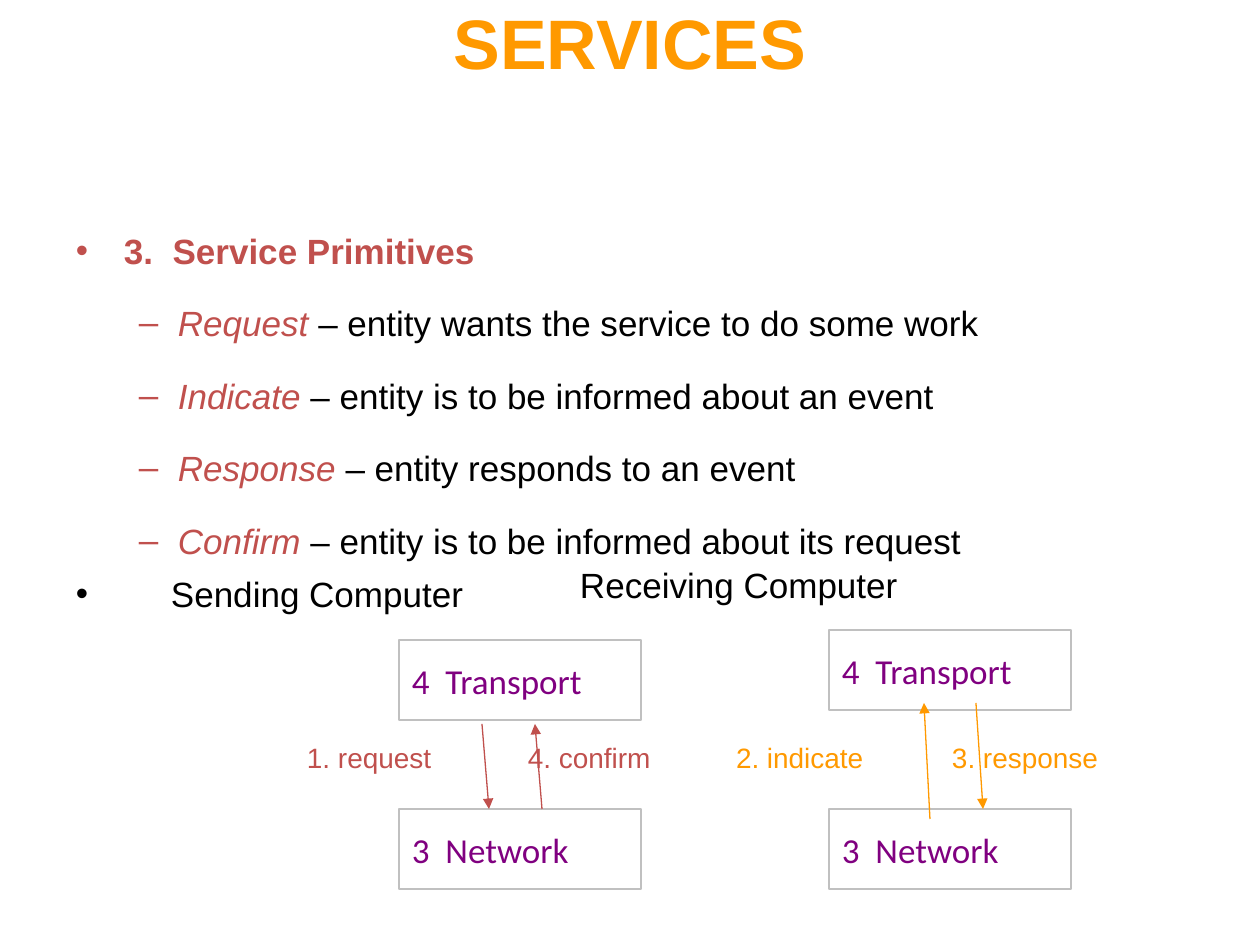
from dataclasses import dataclass

from lxml import etree
from pptx import Presentation
from pptx import util as u
from pptx.dml.color import RGBColor
from pptx.enum import shapes, text
from pptx.oxml import ns

PX = 914400 / 126
ORANGE = RGBColor(0xFF, 0x99, 0x00)
RED = RGBColor(0xC0, 0x50, 0x4D)
PURPLE = RGBColor(0x80, 0x00, 0x80)
SILVER = RGBColor(0xC0, 0xC0, 0xC0)
BLACK = RGBColor(0, 0, 0)

TITLE = {"name": "Arial", "size": u.Pt(40), "bold": True}
BODY = {"name": "Arial", "size": u.Pt(20)}
LABEL = {"name": "Arial", "size": u.Pt(16)}
LAYER = {"name": "Calibri", "size": u.Pt(20)}


@dataclass(frozen=True)
class Run:
    words: str
    color: RGBColor
    style: dict


@dataclass(frozen=True)
class Bullet:
    mark: str
    level: int
    margin: int
    hanging: int
    before: float
    runs: tuple[Run, ...]


@dataclass(frozen=True)
class Label:
    words: str
    left: int
    width: int
    color: RGBColor


@dataclass(frozen=True)
class Layer:
    words: str
    left: int
    top: int


@dataclass(frozen=True)
class Arrow:
    start: tuple[int, int]
    end: tuple[int, int]
    color: RGBColor


def px(length: int) -> int:
    return round(length * PX)


def apply(target, values: dict) -> None:
    for name, value in values.items():
        setattr(target, name, value)


def add_run(paragraph, run: Run) -> None:
    piece = paragraph.add_run()
    piece.text = run.words
    apply(piece.font, run.style)
    piece.font.color.rgb = run.color


def set_frame(shape, side: int, end: int):
    frame = shape.text_frame
    apply(frame, {
        "word_wrap": True,
        "vertical_anchor": text.MSO_ANCHOR.TOP,
        "margin_left": px(side), "margin_right": px(side),
        "margin_top": px(end), "margin_bottom": px(end),
    })
    return frame


def add_text_box(slide, box: tuple[int, int, int, int], side: int, end: int):
    return set_frame(slide.shapes.add_textbox(*map(px, box)), side, end)


def add_bullet(paragraph, bullet: Bullet) -> None:
    paragraph.level = bullet.level
    if bullet.before:
        paragraph.space_before = u.Pt(bullet.before)
    properties = paragraph._p.get_or_add_pPr()
    properties.set("marL", str(px(bullet.margin)))
    properties.set("indent", str(-px(bullet.hanging)))
    color = etree.SubElement(properties, ns.qn("a:buClr"))
    etree.SubElement(color, ns.qn("a:srgbClr"), val=str(bullet.runs[0].color))
    etree.SubElement(properties, ns.qn("a:buFont"), typeface="Arial")
    etree.SubElement(properties, ns.qn("a:buChar"), char=bullet.mark)
    for run in bullet.runs:
        add_run(paragraph, run)


def add_label(slide, label: Label) -> None:
    frame = add_text_box(slide, (label.left, 735, label.width, 46), 13, 6)
    add_run(frame.paragraphs[0], Run(label.words, label.color, LABEL))


def add_layer(slide, layer: Layer) -> None:
    box = map(px, (layer.left, layer.top, 242, 80))
    shape = slide.shapes.add_shape(shapes.MSO_SHAPE.RECTANGLE, *box)
    shape.shadow.inherit = False
    shape.fill.background()
    shape.line.color.rgb = SILVER
    shape.line.width = u.Pt(0.75)
    paragraph = set_frame(shape, 13, 19).paragraphs[0]
    paragraph.alignment = text.PP_ALIGN.LEFT
    add_run(paragraph, Run(layer.words, PURPLE, LAYER))


def add_arrow(slide, arrow: Arrow) -> None:
    points = map(px, arrow.start + arrow.end)
    connector = slide.shapes.add_connector(shapes.MSO_CONNECTOR.STRAIGHT, *points)
    connector.line.color.rgb = arrow.color
    connector.line.width = u.Pt(0.75)
    etree.SubElement(connector.line._get_or_add_ln(), ns.qn("a:tailEnd"), type="triangle")
    etree.SubElement(connector._element.spPr, ns.qn("a:effectLst"))


PRIMITIVES = (
    ("Request", "entity wants the service to do some work"),
    ("Indicate", "entity is to be informed about an event"),
    ("Response", "entity responds to an event"),
    ("Confirm", "entity is to be informed about its request"),
)
BULLETS = (
    Bullet("•", 0, 48, 48, 0, (Run("3.  Service Primitives", RED, BODY | {"bold": True}),)),
    *(
        Bullet("–", 1, 102, 39, 17.5, (
            Run(name, RED, BODY | {"italic": True}),
            Run(f" – {meaning}", BLACK, BODY),
        ))
        for name, meaning in PRIMITIVES
    ),
    Bullet("•", 0, 95, 95, 6, (Run("Sending Computer", BLACK, BODY),)),
)
LAYERS = (
    Layer("3  Network", 399, 809),
    Layer("3  Network", 829, 809),
    Layer("4  Transport", 399, 640),
    Layer("4  Transport", 829, 630),
)
LABELS = (
    Label("1. request", 294, 192, RED),
    Label("2. indicate", 723, 195, ORANGE),
    Label("3. response", 939, 219, ORANGE),
    Label("4. confirm", 515, 190, RED),
)
ARROWS = (
    Arrow((482, 724), (489, 809), RED),
    Arrow((930, 819), (924, 703), ORANGE),
    Arrow((976, 703), (983, 809), ORANGE),
    Arrow((542, 809), (535, 724), RED),
)


def main() -> None:
    presentation = Presentation()
    presentation.slide_width = px(1260)
    presentation.slide_height = px(945)
    slide = presentation.slides.add_slide(presentation.slide_layouts[6])

    title = add_text_box(slide, (63, 0, 1134, 158), 13, 0).paragraphs[0]
    title.alignment = text.PP_ALIGN.CENTER
    add_run(title, Run("SERVICES", ORANGE, TITLE))

    body = add_text_box(slide, (63, 221, 1134, 624), 13, 8)
    for index, bullet in enumerate(BULLETS):
        add_bullet(body.add_paragraph() if index else body.paragraphs[0], bullet)

    receiver = add_text_box(slide, (580, 564, 400, 40), 0, 0)
    add_run(receiver.paragraphs[0], Run("Receiving Computer", BLACK, BODY))

    for layer in LAYERS:
        add_layer(slide, layer)
    for label in LABELS:
        add_label(slide, label)
    for arrow in ARROWS:
        add_arrow(slide, arrow)
    presentation.save("out.pptx")


if __name__ == "__main__":
    main()
